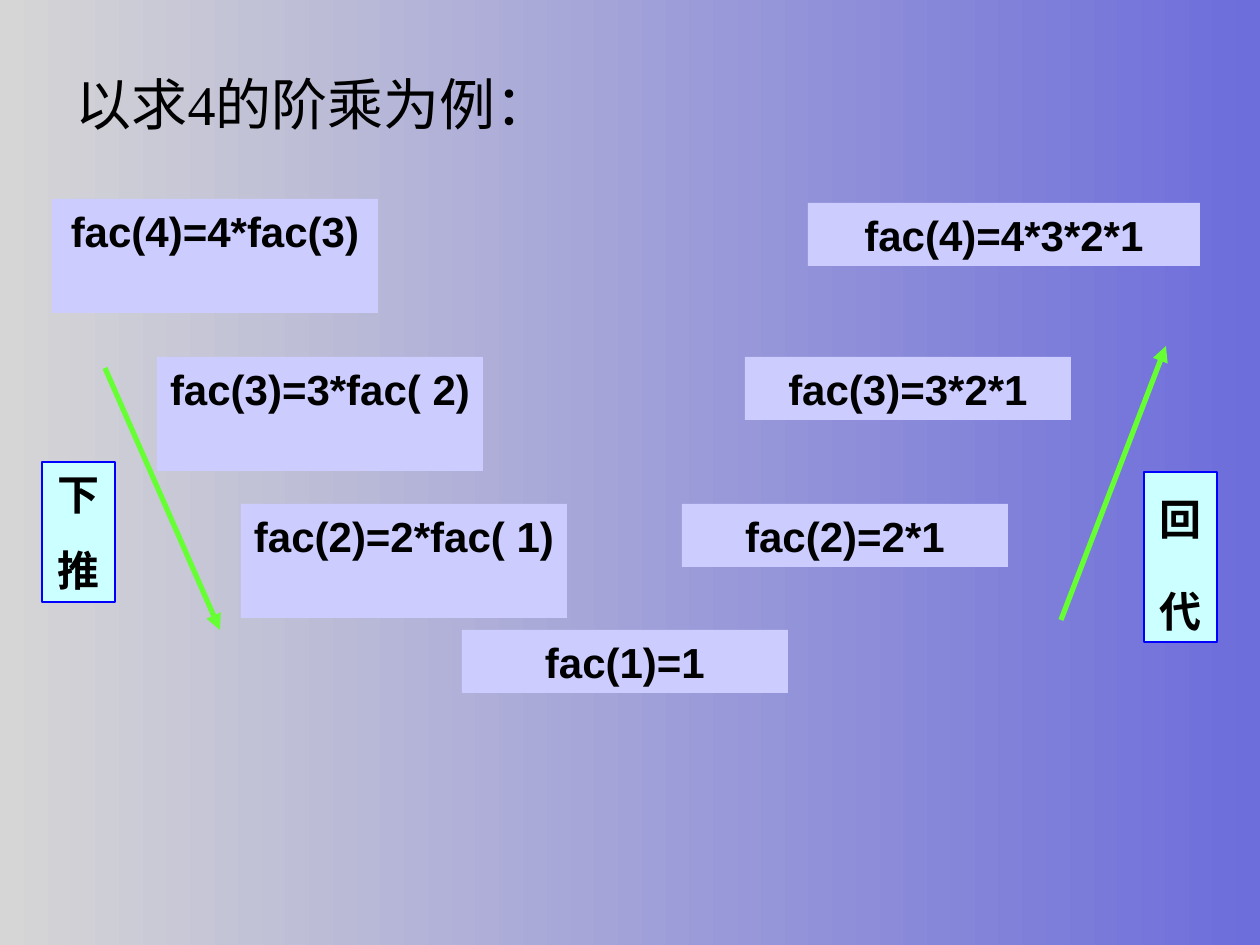
import pptx
import pptx.dml.color
import pptx.enum.shapes
import pptx.enum.text
import pptx.oxml
import pptx.oxml.ns
import pptx.util

PX = 914400 // 126
COLORS = {
    "grey": "D6D6D6",
    "violet": "6D6DDB",
    "lavender": "CCCCFF",
    "cyan": "CCFFFF",
    "blue": "0000FF",
    "green": "66FF33",
    "black": "000000",
}
FORMULA_WIDTH = 326
SHORT, TALL = 63, 114
FORMULAS = [
    ("fac(4)=4*fac(3)", 52, 199, FORMULA_WIDTH, TALL),
    ("fac(3)=3*fac( 2)", 157, 357, FORMULA_WIDTH, TALL),
    ("fac(2)=2*fac( 1)", 241, 504, FORMULA_WIDTH, TALL),
    ("fac(1)=1", 462, 630, FORMULA_WIDTH, SHORT),
    ("fac(4)=4*3*2*1", 808, 203, 392, SHORT),
    ("fac(2)=2*1", 682, 504, FORMULA_WIDTH, SHORT),
    ("fac(3)=3*2*1", 745, 357, FORMULA_WIDTH, SHORT),
]


def px(*lengths):
    return [pptx.util.Emu(length * PX) for length in lengths]


def color(name):
    return pptx.dml.color.RGBColor.from_string(COLORS[name])


def paint_background(page):
    fill = page.background.fill
    fill.gradient()
    fill.gradient_angle = 0
    for stop, name in zip(fill.gradient_stops, ("grey", "violet")):
        stop.color.rgb = color(name)


def write_text(box, text, *, font="Arial", size=24, bold=True, align="CENTER",
               spacing=None):
    """Fill a box with one paragraph for each line of text."""
    frame = box.text_frame
    frame.word_wrap = True
    frame.vertical_anchor = pptx.enum.text.MSO_ANCHOR.TOP
    for index, line in enumerate(text.split("\n")):
        para = frame.add_paragraph() if index else frame.paragraphs[0]
        para.alignment = getattr(pptx.enum.text.PP_ALIGN, align)
        para.space_before = pptx.util.Pt(15 if index else 0)
        if spacing:
            para.line_spacing = spacing
        span = para.add_run()
        span.text = line
        span.font.name = font
        span.font.size = pptx.util.Pt(size)
        span.font.bold = bold
        span.font.color.rgb = color("black")


def add_title(page, text):
    box = page.shapes.add_textbox(*px(63, 63, 1071, 84))
    write_text(box, text, font="Times New Roman", size=32, bold=False, align="LEFT")


def add_box(page, text, left, top, width, height, *, fill="lavender", line=None,
            spacing=None):
    box = page.shapes.add_shape(
        pptx.enum.shapes.MSO_SHAPE.RECTANGLE, *px(left, top, width, height))
    box.shadow.inherit = False
    box.fill.solid()
    box.fill.fore_color.rgb = color(fill)
    if line:
        box.line.color.rgb = color(line)
        box.line.width = pptx.util.Pt(1)
    else:
        box.line.fill.background()
    write_text(box, text, spacing=spacing)


def add_arrow(page, *ends):
    arrow = page.shapes.add_connector(
        pptx.enum.shapes.MSO_CONNECTOR.STRAIGHT, *px(*ends))
    arrow.line.color.rgb = color("green")
    arrow.line.width = pptx.util.Pt(3)
    namespace = pptx.oxml.ns.nsdecls("a")
    arrow.line._get_or_add_ln().append(
        pptx.oxml.parse_xml(f'<a:tailEnd {namespace} type="triangle"/>'))
    arrow._element.spPr.append(pptx.oxml.parse_xml(f"<a:effectLst {namespace}/>"))


def main():
    deck = pptx.Presentation()
    deck.slide_width, deck.slide_height = px(1260, 945)
    page = deck.slides.add_slide(deck.slide_layouts[6])
    paint_background(page)
    add_title(page, "以求4的阶乘为例：")
    for formula in FORMULAS:
        add_box(page, *formula)
    add_box(page, "下\n推", 42, 462, 73, 140, fill="cyan", line="blue")
    add_box(page, "回\n代", 1144, 472, 73, 170, fill="cyan", line="blue", spacing=1.3)
    add_arrow(page, 105, 368, 220, 630)
    add_arrow(page, 1061, 620, 1166, 346)
    deck.save("out.pptx")


if __name__ == "__main__":
    main()
